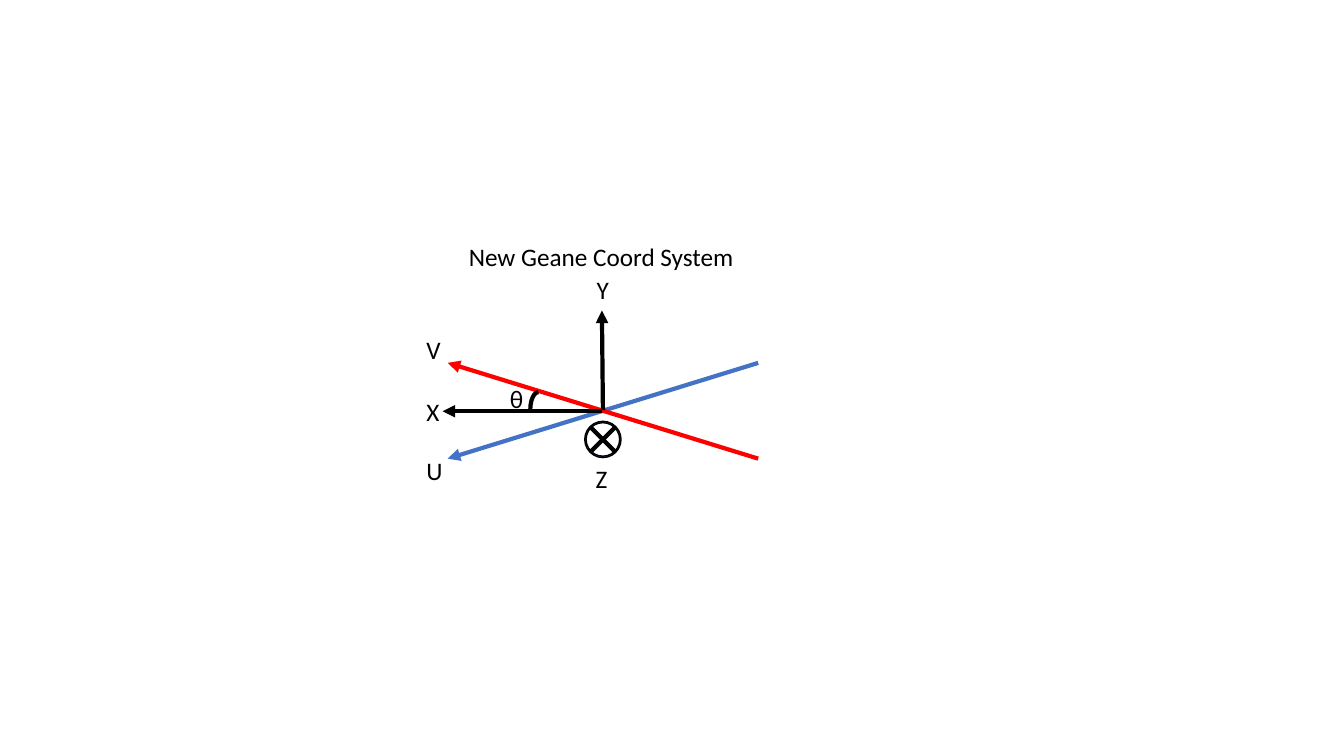
from pptx import Presentation
from pptx import util as u
from pptx.dml.color import RGBColor
from pptx.enum import shapes, text
from pptx.oxml.ns import qn
from lxml import etree

# Content: lengths in inches
TITLE = ("New Geane Coord System", 4.55, 2.34, 2.86)
LABELS = [  # text, left, top, width
    ("U", 4.13, 4.47, 0.36),
    ("V", 4.13, 3.27, 0.35),
    ("X", 4.13, 3.88, 0.33),
    ("Y", 5.82, 2.67, 0.32),
    ("Z", 5.81, 4.55, 0.35),
    ("θ", 4.96, 3.75, 0.34),
]
AXES = [  # colour name, start, tip
    ("blue", (7.52, 3.6), (4.44, 4.55)),
    ("red", (7.52, 4.55), (4.44, 3.6)),
    ("black", (5.97, 4.08), (4.39, 4.08)),
    ("black", (5.98, 4.07), (5.97, 3.08)),
]
Z_RING = (5.8, 4.18, 0.36, 0.36)
ANGLE_ARC = (5.26, 3.89, 0.16, 0.35)
CROSS_REACH = 0.125
LABEL_HEIGHT = 0.4

THEME = {
    "black": RGBColor(0, 0, 0),
    "blue": RGBColor(0x44, 0x72, 0xC4),
    "red": RGBColor(0xFF, 0, 0),
    "font": "Calibri",
    "size": u.Pt(18),
    "stroke": u.Pt(3),
    "thin": u.Pt(1),
}
FRAME_FORMAT = {
    "word_wrap": False,
    "auto_size": text.MSO_AUTO_SIZE.NONE,
    "vertical_anchor": text.MSO_ANCHOR.TOP,
    "margin_left": u.Inches(0.1),
    "margin_right": u.Inches(0.1),
    "margin_top": u.Inches(0.05),
    "margin_bottom": u.Inches(0.05),
}
FONT_FORMAT = {"name": THEME["font"], "size": THEME["size"], "bold": False}


def set_all(target, values):
    for name, value in values.items():
        setattr(target, name, value)


def inches(*lengths):
    return [u.Inches(length) for length in lengths]


def write(shape, words):
    frame = shape.text_frame
    frame.text = words
    set_all(frame, FRAME_FORMAT)
    paragraph = frame.paragraphs[0]
    paragraph.alignment = text.PP_ALIGN.LEFT
    font = paragraph.runs[0].font
    set_all(font, FONT_FORMAT)
    font.color.rgb = THEME["black"]


def stroke(shape, colour, width):
    shape.line.color.rgb = THEME[colour]
    shape.line.width = THEME[width]


def add_line(slide, colour, start, end, arrow=False):
    line = slide.shapes.add_connector(
        shapes.MSO_CONNECTOR.STRAIGHT, *inches(*start, *end))
    stroke(line, colour, "stroke")
    if arrow:
        etree.SubElement(line.line._get_or_add_ln(), qn("a:tailEnd"), type="triangle")
    etree.SubElement(line._element.spPr, qn("a:effectLst"))


def add_outline(slide, kind, box, width):
    shape = slide.shapes.add_shape(kind, *inches(*box))
    shape.shadow.inherit = False
    stroke(shape, "black", width)
    return shape


def main():
    presentation = Presentation()
    presentation.slide_width, presentation.slide_height = inches(13.33, 7.5)
    slide = presentation.slides.add_slide(presentation.slide_layouts[5])

    # Title
    words, left, top, width = TITLE
    title = slide.shapes.title
    names = ("left", "top", "width", "height")
    set_all(title, dict(zip(names, inches(left, top, width, LABEL_HEIGHT))))
    write(title, words)

    # Axes
    for colour, start, tip in AXES:
        add_line(slide, colour, start, tip, arrow=True)

    # Z axis pointing into the page: ring and cross
    ring = add_outline(slide, shapes.MSO_SHAPE.DONUT, Z_RING, "thin")
    ring.adjustments[0] = 0.038
    ring.fill.solid()
    ring.fill.fore_color.rgb = THEME["blue"]
    left, top, width, height = Z_RING
    x, y = left + width / 2, top + height / 2
    for rise in (CROSS_REACH, -CROSS_REACH):
        add_line(slide, "black", (x - CROSS_REACH, y - rise), (x + CROSS_REACH, y + rise))

    # Angle between X and V
    arc = add_outline(slide, shapes.MSO_SHAPE.ARC, ANGLE_ARC, "stroke")
    arc.fill.background()
    arc._element.spPr.xfrm.set("flipH", "1")

    # Labels
    for words, left, top, width in LABELS:
        box = slide.shapes.add_textbox(*inches(left, top, width, LABEL_HEIGHT))
        write(box, words)

    presentation.save("out.pptx")


if __name__ == "__main__":
    main()
